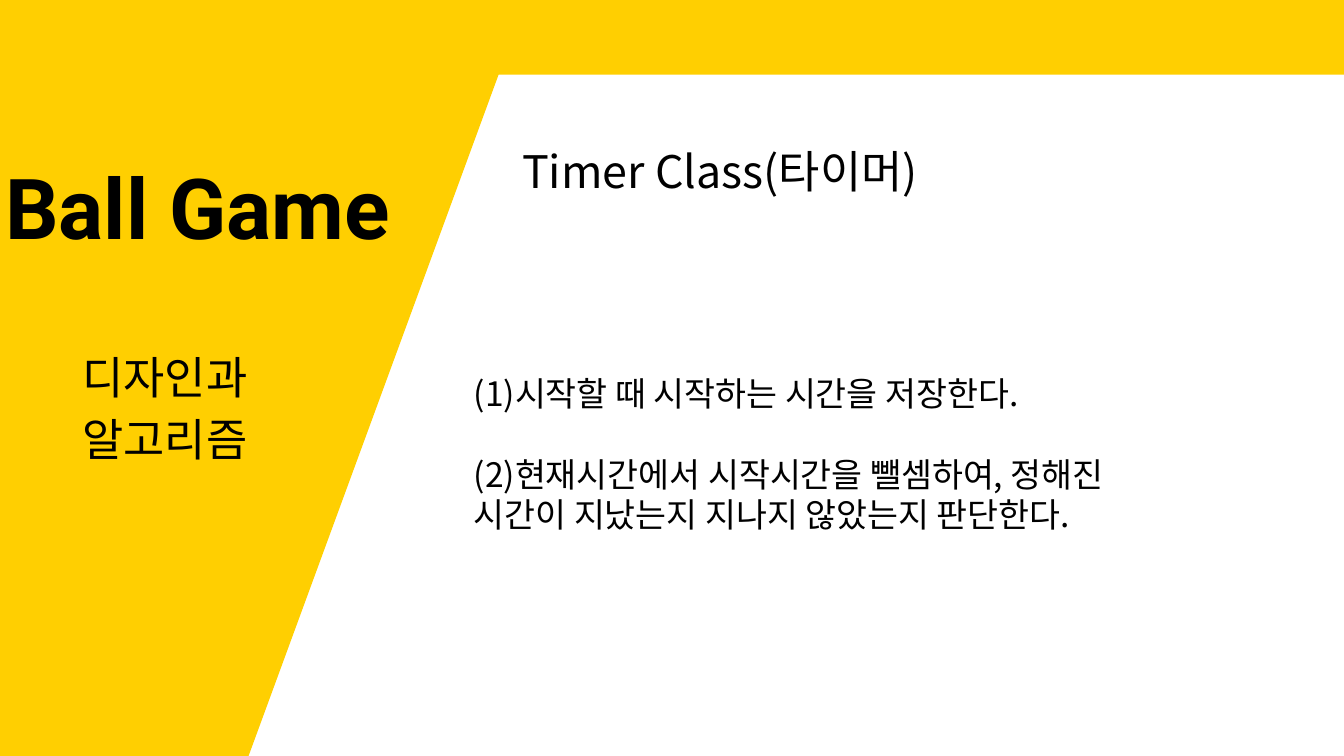
from pptx import Presentation
from pptx.dml.color import RGBColor
from pptx.enum.shapes import MSO_SHAPE as Shape
from pptx.enum.text import MSO_ANCHOR as Anchor, PP_ALIGN as Align
from pptx.oxml.ns import qn
from pptx.util import Inches, Pt

WIDTH, HEIGHT = Inches(13.33), Inches(7.5)
COLORS = {"yellow": "FFCF01", "black": "000000"}


def place(left, top, width, height):
    """Turn percentages of the slide into lengths."""
    return [round(share * side / 100) for share, side in
            zip((left, top, width, height), (WIDTH, HEIGHT) * 2)]


def add_panel(page, kind, area, outlined=False, flipped=False):
    panel = page.shapes.add_shape(kind, *place(*area))
    panel.shadow.inherit = False
    color = RGBColor.from_string(COLORS["yellow"])
    panel.fill.solid()
    panel.fill.fore_color.rgb = color
    if outlined:
        panel.line.color.rgb = color
        panel.line.width = Pt(1)
    else:
        panel.line.fill.background()
    if flipped:
        panel.element.spPr.find(qn("a:xfrm")).set("flipV", "1")


def add_text(page, area, lines, font, size, bold=False, align=Align.LEFT,
             anchor=Anchor.TOP, spacing=None, gap=0):
    box = page.shapes.add_textbox(*place(*area))
    frame = box.text_frame
    frame.word_wrap = True
    frame.vertical_anchor = anchor
    for index, line in enumerate(lines):
        para = frame.paragraphs[0] if index == 0 else frame.add_paragraph()
        para.alignment = align
        para.line_spacing = spacing
        if index:
            para.space_before = Pt(gap)
        span = para.add_run()
        span.text = line
        span.font.name = font
        span.font.size = Pt(size)
        span.font.bold = bold
        span.font.color.rgb = RGBColor.from_string(COLORS["black"])


def main():
    deck = Presentation()
    deck.slide_width, deck.slide_height = WIDTH, HEIGHT
    page = deck.slides.add_slide(deck.slide_layouts[6])

    # Yellow frame: left band, slanted edge, top band
    add_panel(page, Shape.RECTANGLE, (0, 6.4, 18.4, 93.6), outlined=True)
    add_panel(page, Shape.RIGHT_TRIANGLE, (18.4, 6.8, 19.28, 93.4),
              outlined=True, flipped=True)
    add_panel(page, Shape.RECTANGLE, (0, 0, 100, 9.87))

    # Left column: subtitle and title
    add_text(page, (5.4, 46.4, 20, 12.13), ["디자인과", "알고리즘"],
             "Montserrat", 32, spacing=0.9, gap=10)
    add_text(page, (-0.7, 20, 30.8, 14.8), ["Ball Game"], "Roboto", 60,
             bold=True, align=Align.CENTER, anchor=Anchor.BOTTOM, spacing=0.9)

    # Right side: topic and explanation
    add_text(page, (38.11, 18.4, 44.56, 15.73), ["Timer Class(타이머)"],
             "Noto Sans CJK KR", 32)
    add_text(page, (34.51, 48.67, 51.46, 22.93),
             ["(1)시작할 때 시작하는 시간을 저장한다.",
              "(2)현재시간에서 시작시간을 뺄셈하여, 정해진 시간이 지났는지 "
              "지나지 않았는지 판단한다."],
             "Noto Sans CJK KR", 24, gap=29)

    deck.save("out.pptx")


if __name__ == "__main__":
    main()
